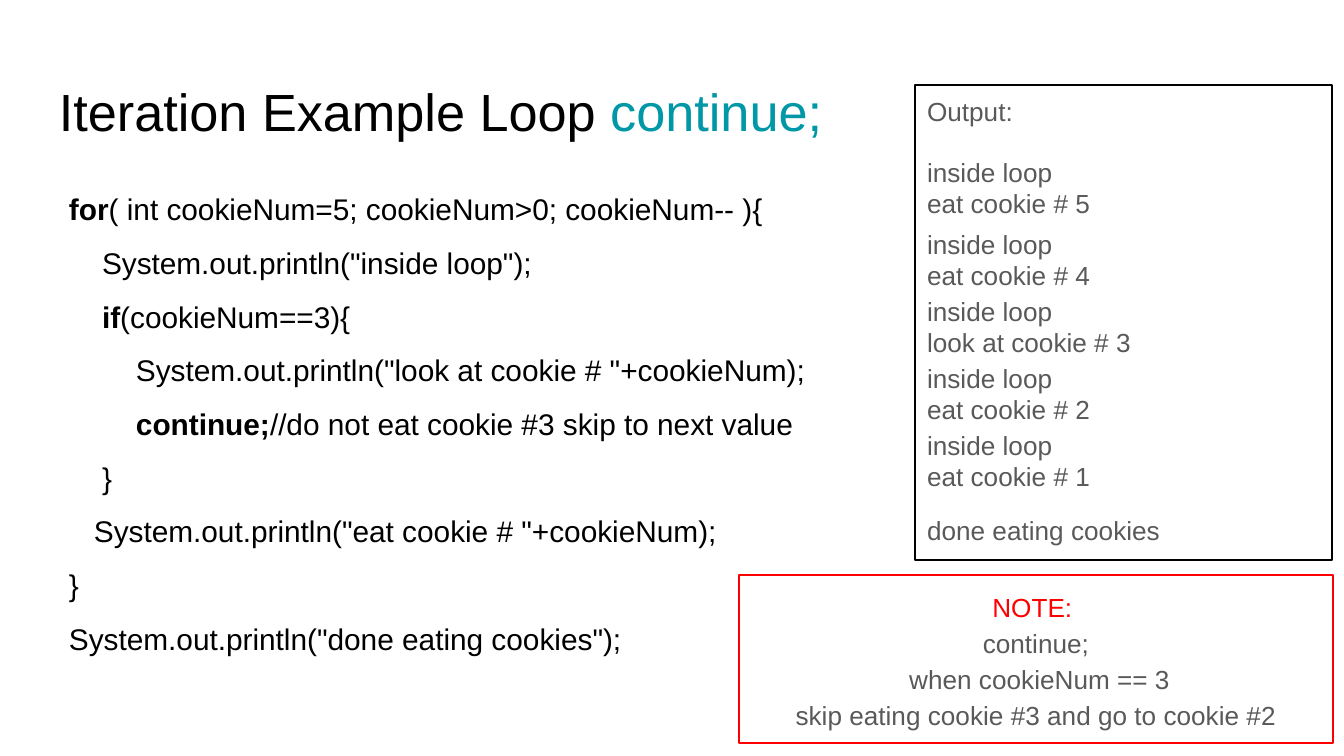
from pptx import Presentation
from pptx.dml.color import RGBColor
from pptx.enum.shapes import MSO_SHAPE
from pptx.enum.text import MSO_ANCHOR, PP_ALIGN
from pptx.util import Pt

RECTANGLE = MSO_SHAPE.RECTANGLE
TOP, MIDDLE = MSO_ANCHOR.TOP, MSO_ANCHOR.MIDDLE
LEFT, CENTER = PP_ALIGN.LEFT, PP_ALIGN.CENTER

EMU_PER_PX = 914400 / 134.4
SLIDE_SIZE = (1344, 756)
INSET = 13
COLORS = {"black": "000000", "teal": "0097A7", "gray": "595959", "red": "FF0000"}

TITLE = [("Iteration Example Loop ", "black"), ("continue;", "teal")]
TITLE_BOX = (46, 66, 1253, 85)

CODE_BOX = (56, 160, 818, 566)
CODE = [
    (0, "for", "( int cookieNum=5; cookieNum>0; cookieNum-- ){"),
    (33, "", 'System.out.println("inside loop");'),
    (33, "if", "(cookieNum==3){"),
    (67, "", 'System.out.println("look at cookie # "+cookieNum);'),
    (67, "continue;", "//do not eat cookie #3 skip to next value"),
    (33, "", "}"),
    (25, "", 'System.out.println("eat cookie # "+cookieNum);'),
    (0, "", "}"),
    (0, "", 'System.out.println("done eating cookies");'),
]

OUTPUT_LEFT, OUTPUT_WIDTH = 914, 435
OUTPUT_HEADING = "Output:"
OUTPUT_FIRST = (82, 344)
HEADING_GAP = Pt(16)
PASS_LINE = "inside loop"
PASSES = ["eat cookie # 5", "eat cookie # 4", "look at cookie # 3", "eat cookie # 2", "eat cookie # 1"]
PASS_TOP, PASS_STEP, PASS_HEIGHT = 215, 67, 109
DONE = ("done eating cookies", 501, 85)
OUTPUT_FRAME = (915, 85, 417, 475)

NOTE_FRAME = (739, 575, 594, 168)
NOTE = [
    ("NOTE: ", "red"),
    ("continue;", "gray"),
    (" when cookieNum == 3", "gray"),
    ("skip eating cookie #3 and go to cookie #2", "gray"),
]


def px(value):
    return round(value * EMU_PER_PX)


def rgb(name):
    return RGBColor.from_string(COLORS[name])


def apply(target, values):
    for name, value in values.items():
        setattr(target, name, value)


def write(shape, paragraphs, size, anchor=TOP, alignment=LEFT, spacing=1.0):
    frame = shape.text_frame
    margins = dict.fromkeys(("margin_left", "margin_top", "margin_right", "margin_bottom"), px(INSET))
    apply(frame, {"word_wrap": True, "vertical_anchor": anchor, **margins})
    for index, runs in enumerate(paragraphs):
        paragraph = frame.add_paragraph() if index else frame.paragraphs[0]
        apply(paragraph, {"alignment": alignment, "line_spacing": spacing})
        for text, color, bold in runs:
            run = paragraph.add_run()
            run.text = text
            apply(run.font, {"name": "Arial", "size": Pt(size), "bold": bold})
            run.font.color.rgb = rgb(color)
    return frame.paragraphs


def add_text(slide, box, paragraphs, size, **layout):
    shape = slide.shapes.add_textbox(*map(px, box))
    return write(shape, paragraphs, size, **layout)


def add_frame(slide, box, color):
    shape = slide.shapes.add_shape(RECTANGLE, *map(px, box))
    shape.shadow.inherit = False
    shape.fill.background()
    shape.line.color.rgb = rgb(color)
    shape.line.width = Pt(0.75)
    return shape


def add_output(slide, top, height, lines):
    box = (OUTPUT_LEFT, top, OUTPUT_WIDTH, height)
    return add_text(slide, box, [[(line, "gray", False)] for line in lines], 14)


def main():
    presentation = Presentation()
    presentation.slide_width, presentation.slide_height = map(px, SLIDE_SIZE)
    slide = presentation.slides.add_slide(presentation.slide_layouts[6])

    add_text(slide, TITLE_BOX, [[(text, color, False) for text, color in TITLE]], 28)

    code_runs = [
        [(text, "black", bold) for text, bold in ((keyword, True), (rest, False)) if text]
        for _, keyword, rest in CODE
    ]
    code_paragraphs = add_text(slide, CODE_BOX, code_runs, 16, spacing=1.5)
    for paragraph, (indent, _, _) in zip(code_paragraphs, CODE):
        properties = paragraph._p.get_or_add_pPr()
        properties.set("marL", str(px(indent)))
        properties.set("indent", "0")

    first = add_output(slide, *OUTPUT_FIRST, [OUTPUT_HEADING, PASS_LINE, PASSES[0]])
    first[1].space_before = HEADING_GAP
    for index, result in enumerate(PASSES[1:]):
        add_output(slide, PASS_TOP + index * PASS_STEP, PASS_HEIGHT, [PASS_LINE, result])
    done_text, done_top, done_height = DONE
    add_output(slide, done_top, done_height, [done_text])
    add_frame(slide, OUTPUT_FRAME, "black")

    note = add_frame(slide, NOTE_FRAME, "red")
    note_runs = [[(text, color, False)] for text, color in NOTE]
    write(note, note_runs, 14, anchor=MIDDLE, alignment=CENTER, spacing=1.15)

    presentation.save("out.pptx")


if __name__ == "__main__":
    main()
